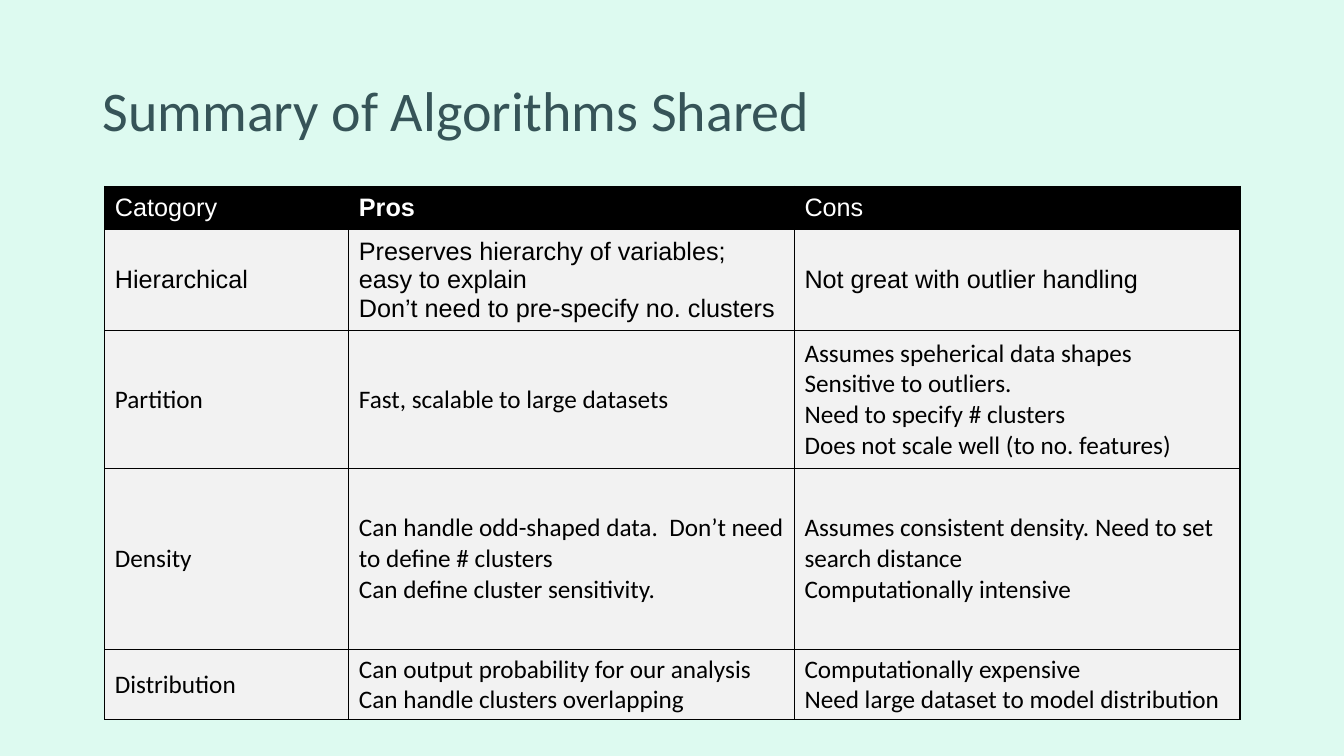
from lxml.etree import SubElement
from pptx import Presentation
from pptx.dml.color import RGBColor
from pptx.enum.text import MSO_ANCHOR
from pptx.oxml.ns import qn
from pptx.util import Inches, Pt

THEME = {
    "background": "DDFAF0", "title": "365458", "header": "000000", "header_text": "FFFFFF",
    "body": "F2F2F2", "body_text": "000000", "border": "000000",
    "title_size": 40, "cell_size": 18, "border_width": 1,
    "main_font": "Calibri", "table_font": "Arial",
}


def add_text(paragraph, text, font_name, size, color, bold=False):
    run = paragraph.add_run()
    run.text = text
    run.font.name = font_name
    run.font.size = Pt(size)
    run.font.bold = bold
    run.font.color.rgb = RGBColor.from_string(color)


def add_borders(cell):
    properties = cell._tc.get_or_add_tcPr()
    for position, side in enumerate(("lnL", "lnR", "lnT", "lnB")):
        line = SubElement(properties, qn(f"a:{side}"), w=str(Pt(THEME["border_width"])))
        fill = SubElement(line, qn("a:solidFill"))
        SubElement(fill, qn("a:srgbClr"), val=THEME["border"])
        properties.insert(position, line)


algorithms = [
    (["Catogory"], ["Pros"], ["Cons"]),
    (["Hierarchical"],
     ["Preserves hierarchy of variables; easy to explain",
      "Don’t need to pre-specify no. clusters"],
     ["Not great with outlier handling"]),
    (["Partition"],
     ["Fast, scalable to large datasets"],
     ["Assumes speherical data shapes", "Sensitive to outliers.",
      "Need to specify # clusters", "Does not scale well (to no. features)"]),
    (["Density"],
     ["Can handle odd-shaped data.  Don’t need to define # clusters",
      "Can define cluster sensitivity."],
     ["Assumes consistent density. Need to set search distance",
      "Computationally intensive"]),
    (["Distribution"],
     ["Can output probability for our analysis", "Can handle clusters overlapping"],
     ["Computationally expensive", "Need large dataset to model distribution"]),
]
column_widths = [2.42, 4.42, 4.42]
row_heights = [0.43, 0.94, 1.37, 1.79, 0.7]

presentation = Presentation()
presentation.slide_width = Inches(13.33)
presentation.slide_height = Inches(7.5)
slide = presentation.slides.add_slide(presentation.slide_layouts[6])
slide.background.fill.solid()
slide.background.fill.fore_color.rgb = RGBColor.from_string(THEME["background"])

title = slide.shapes.add_textbox(Inches(0.92), Inches(0.4), Inches(11.5), Inches(1.45)).text_frame
title.word_wrap = True
title.vertical_anchor = MSO_ANCHOR.MIDDLE
title.paragraphs[0].line_spacing = 0.9
add_text(title.paragraphs[0], "Summary of Algorithms Shared",
         THEME["main_font"], THEME["title_size"], THEME["title"])

summary = slide.shapes.add_table(
    len(row_heights), len(column_widths), Inches(1.04), Inches(1.85),
    Inches(sum(column_widths)), Inches(sum(row_heights))).table
for column, width in zip(summary.columns, column_widths):
    column.width = Inches(width)

for row_index, (height, entries) in enumerate(zip(row_heights, algorithms)):
    summary.rows[row_index].height = Inches(height)
    kind = "header" if row_index == 0 else "body"
    font_name = THEME["table_font"] if row_index < 2 else THEME["main_font"]
    for column_index, points in enumerate(entries):
        cell = summary.cell(row_index, column_index)
        cell.vertical_anchor = MSO_ANCHOR.MIDDLE
        cell.fill.solid()
        cell.fill.fore_color.rgb = RGBColor.from_string(THEME[kind])
        add_borders(cell)
        for point_index, point in enumerate(points):
            frame = cell.text_frame
            paragraph = frame.add_paragraph() if point_index else frame.paragraphs[0]
            add_text(paragraph, point, font_name, THEME["cell_size"],
                     THEME[f"{kind}_text"], bold=point == "Pros")

presentation.save("out.pptx")
